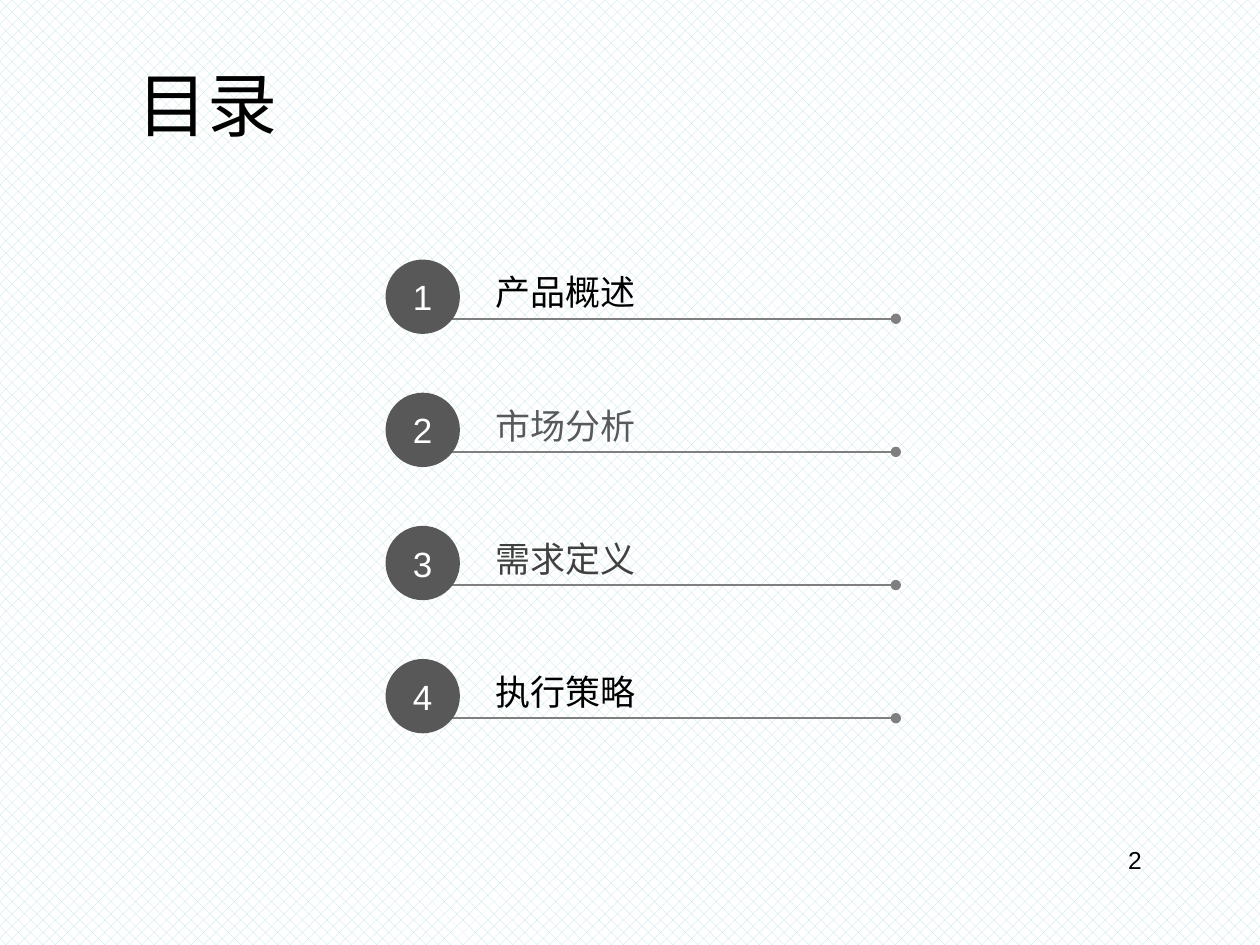
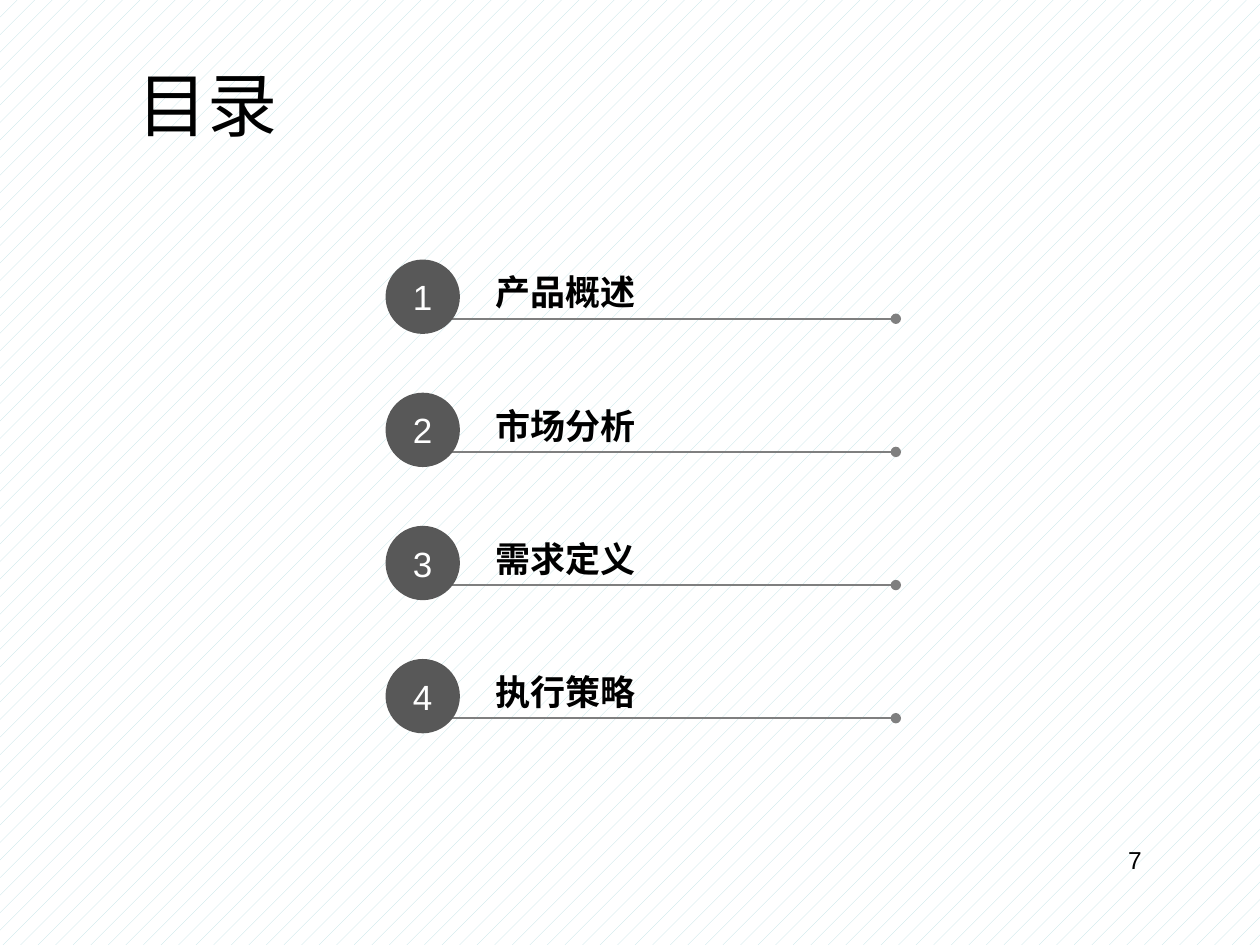
from lxml import etree
from pptx import Presentation
from pptx.dml.color import RGBColor
from pptx.enum import dml, shapes, text
from pptx.oxml import ns
from pptx.util import Inches, Pt

LATIN, CJK = "Arial", "Noto Sans CJK SC"
BLACK, WHITE, DISC_GREY, RULE_GREY, PATTERN_TINT = (
    "000000", "FFFFFF", "585858", "7F7F7F", "BBE0E3")
TOPICS = ["产品概述", "市场分析", "需求定义", "执行策略"]
AGENDA_BOX = (3.06, 2.06, 4.05, 3.76)
DISC = 0.59

# Page number, background pattern, topic colours, bold topics
PAGES = [
    ("2", dml.MSO_PATTERN.PERCENT_30, [BLACK, "58595B", "404040", BLACK], False),
    ("7", dml.MSO_PATTERN.PERCENT_5, [BLACK] * 4, True),
]


def rgb(value):
    return RGBColor.from_string(value)


def write(shape, words, size, colour=BLACK, font=LATIN, bold=False,
          align=text.PP_ALIGN.LEFT, anchor=text.MSO_ANCHOR.TOP, insets=(0.1, 0.05)):
    frame = shape.text_frame
    across, down = (Inches(inset) for inset in insets)
    layout = {"word_wrap": True, "vertical_anchor": anchor,
              "margin_left": across, "margin_right": across,
              "margin_top": down, "margin_bottom": down}
    for name, value in layout.items():
        setattr(frame, name, value)
    paragraph = frame.paragraphs[0]
    paragraph.alignment = align
    run = paragraph.add_run()
    run.text = words
    for name, value in {"size": Pt(size), "name": font, "bold": bold}.items():
        setattr(run.font, name, value)
    run.font.color.rgb = rgb(colour)
    east_asian = etree.SubElement(run._r.get_or_add_rPr(), ns.qn("a:ea"))
    east_asian.set("typeface", CJK)


def add_label(slide, box, words, size, **style):
    write(slide.shapes.add_textbox(*map(Inches, box)), words, size, **style)


def add_rule(slide, left, right, y):
    """Thin line ending in a dot."""
    rule = slide.shapes.add_connector(
        shapes.MSO_CONNECTOR.STRAIGHT, *map(Inches, (left, y, right, y)))
    rule.line.color.rgb = rgb(RULE_GREY)
    rule.line.width = Pt(1)
    dot = etree.SubElement(rule.line._get_or_add_ln(), ns.qn("a:tailEnd"))
    dot.set("type", "oval")
    etree.SubElement(rule._element.spPr, ns.qn("a:effectLst"))


def add_disc(slide, left, top, number):
    disc = slide.shapes.add_shape(
        shapes.MSO_SHAPE.OVAL, *map(Inches, (left, top, DISC, DISC)))
    disc.shadow.inherit = False
    disc.fill.solid()
    disc.fill.fore_color.rgb = rgb(DISC_GREY)
    disc.line.fill.background()
    write(disc, str(number), 20, colour=WHITE, align=text.PP_ALIGN.CENTER,
          anchor=text.MSO_ANCHOR.MIDDLE, insets=(0.07, 0.04))


def add_agenda(slide, box, colours, bold):
    left, top, width, height = box
    pitch = (height - DISC) / (len(TOPICS) - 1)
    for index, (topic, colour) in enumerate(zip(TOPICS, colours)):
        y = top + index * pitch
        add_label(slide, (left + 0.8, y + 0.05, 2.77, 0.43), topic, 20,
                  colour=colour, font=CJK, bold=bold, insets=(0.07, 0.04))
        add_rule(slide, left + 0.5, left + width, y + 0.47)
        add_disc(slide, left, y, index + 1)


def add_frame(slide, page, pattern):
    """Patterned background, title and page number."""
    background = slide.background.fill
    background.patterned()
    background.pattern = pattern
    background.fore_color.rgb = rgb(PATTERN_TINT)
    background.back_color.rgb = rgb(WHITE)
    add_label(slide, (0.35, 0.44, 2.6, 0.77), "目录", 40, align=text.PP_ALIGN.CENTER)
    add_label(slide, (6.83, 6.66, 2.33, 0.52), page, 14, align=text.PP_ALIGN.RIGHT)


def main():
    deck = Presentation()
    deck.slide_width, deck.slide_height = Inches(10), Inches(7.5)
    for page, pattern, colours, bold in PAGES:
        slide = deck.slides.add_slide(deck.slide_layouts[6])
        add_frame(slide, page, pattern)
        add_agenda(slide, AGENDA_BOX, colours, bold)
    deck.save("out.pptx")


if __name__ == "__main__":
    main()
